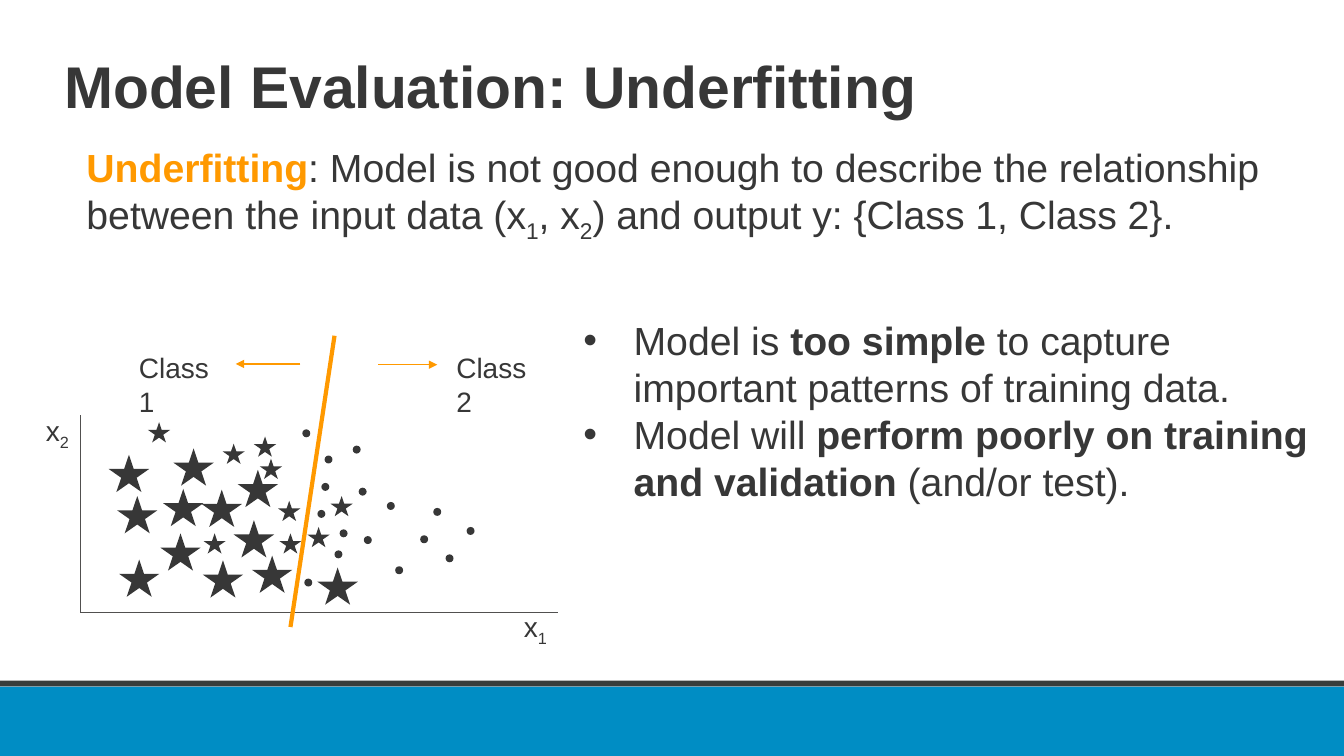
from dataclasses import dataclass

from lxml import etree
from pptx import Presentation
from pptx.dml.color import RGBColor
from pptx.enum.shapes import MSO_CONNECTOR, MSO_SHAPE
from pptx.oxml.ns import qn
from pptx.util import Cm, Pt

RECT, STAR, DOT = MSO_SHAPE.RECTANGLE, MSO_SHAPE.STAR_5_POINT, MSO_SHAPE.FLOWCHART_CONNECTOR
STRAIGHT = MSO_CONNECTOR.STRAIGHT


@dataclass(frozen=True)
class Theme:
    font: str = "Arial"
    text: RGBColor = RGBColor.from_string("373737")
    accent: RGBColor = RGBColor.from_string("FF9900")
    axis: RGBColor = RGBColor.from_string("51504F")
    band: RGBColor = RGBColor.from_string("008DC4")
    band_edge: RGBColor = RGBColor.from_string("383D3B")
    title_size: int = 42
    body_size: int = 28
    label_size: int = 20


theme = Theme()
BOLD = {"bold": True}
SUB = {"baseline": "-25000"}

prs = Presentation()
prs.slide_width, prs.slide_height = Cm(33.87), Cm(19.05)
s = prs.slides.add_slide(prs.slide_layouts[6])


def add_filled(kind, x, y, w, h, color):
    sp = s.shapes.add_shape(kind, Cm(x), Cm(y), Cm(w), Cm(h))
    sp.shadow.inherit = False
    sp.fill.solid()
    sp.fill.fore_color.rgb = color
    sp.line.fill.background()


def add_text(x, y, w, h, size, paragraphs, spacing=None, bullet=False):
    """Each paragraph is a list of (text, format) runs."""
    tf = s.shapes.add_textbox(Cm(x), Cm(y), Cm(w), Cm(h)).text_frame
    tf.word_wrap = True
    for i, runs in enumerate(paragraphs):
        p = tf.add_paragraph() if i else tf.paragraphs[0]
        if bullet:
            pPr = p._p.get_or_add_pPr()
            pPr.set("marL", str(Cm(1.27)))
            pPr.set("indent", str(-Cm(1.27)))
            etree.SubElement(pPr, qn("a:buFont")).set("typeface", theme.font)
            etree.SubElement(pPr, qn("a:buChar")).set("char", "•")
        if spacing:
            p.line_spacing = spacing
        for text, fmt in runs:
            r = p.add_run()
            r.text = text
            r.font.color.rgb = fmt.get("color", theme.text)
            values = {"name": theme.font, "size": Pt(size), "bold": fmt.get("bold", False)}
            for name, value in values.items():
                setattr(r.font, name, value)
            if "baseline" in fmt:
                r.font._element.set("baseline", fmt["baseline"])


# Footer band
add_filled(RECT, -0.05, 17.3, 33.98, 1.75, theme.band)
add_filled(RECT, -0.03, 17.15, 33.93, 0.15, theme.band_edge)

# Title, definition and consequences
add_text(1.37, 1.32, 29.21, 2.77, theme.title_size,
         [[("Model Evaluation: Underfitting", BOLD)]], spacing=0.9)
add_text(1.93, 3.63, 30.23, 12.78, theme.body_size, [[
    ("Underfitting", {"bold": True, "color": theme.accent}),
    (": Model is not good enough to describe the relationship between the input data (x", {}),
    ("1", SUB), (", x", {}), ("2", SUB),
    (") and output y: {Class 1, Class 2}.", {}),
]], spacing=0.9)
add_text(14.45, 7.85, 18.9, 5.05, theme.body_size, [
    [("Model is ", {}), ("too simple ", BOLD),
     ("to capture important patterns of training data.", {})],
    [("Model will ", {}), ("perform poorly on training and validation ", BOLD),
     ("(and/or test).", {})],
], bullet=True)

# Scatter plot: (shape, width, height, top-left corners)
markers = [
    (STAR, 1.02, 0.94, [
        (2.74, 11.46), (2.95, 12.5), (4.04, 13.44), (3, 14.1), (4.11, 12.32), (5.11, 14.12),
        (6.35, 14), (4.37, 11.3), (5.08, 12.34), (5.89, 13.11), (5.99, 11.84), (8, 14.3)]),
    (STAR, 0.56, 0.51, [
        (6.4, 11), (7.01, 12.62), (7.75, 13.28), (6.55, 11.56), (5.13, 13.44),
        (3.73, 10.64), (7.04, 13.44), (5.61, 11.18), (8.33, 12.5)]),
    (DOT, 0.2, 0.2, [
        (9.75, 12.65), (8, 12.85), (8.1, 12.17), (8.56, 13.34), (7.67, 14.58), (7.62, 10.82),
        (8.89, 11.23), (10.92, 12.8), (10.59, 13.49), (9.96, 14.27), (9.17, 13.51),
        (8.43, 13.87), (9.04, 12.29), (11.23, 13.97), (8.18, 11.48), (11.76, 13.28)]),
]
for kind, w, h, corners in markers:
    for x, y in corners:
        add_filled(kind, x, y, w, h, theme.text)

# Axes, decision boundary and class arrows: (from, to, color, width, arrowhead)
lines = [
    ((2.03, 15.44), (2.03, 10.46), theme.axis, 0.5, False),
    ((2.03, 15.42), (14.05, 15.42), theme.axis, 0.5, False),
    ((8.43, 8.46), (7.32, 15.8), theme.accent, 3, False),
    ((9.53, 9.19), (11.02, 9.19), theme.accent, 1, True),
    ((7.57, 9.17), (5.94, 9.17), theme.accent, 1, True),
]
for (x1, y1), (x2, y2), color, width, arrow in lines:
    line = s.shapes.add_connector(STRAIGHT, Cm(x1), Cm(y1), Cm(x2), Cm(y2))
    line.line.color.rgb = color
    line.line.width = Pt(width)
    if arrow:
        etree.SubElement(line.line._get_or_add_ln(), qn("a:tailEnd")).set("type", "triangle")
    etree.SubElement(line._element.spPr, qn("a:effectLst"))

# Class and axis labels
labels = [
    (11.25, 8.71, 2.77, [("Class 2", {})]),
    (3.25, 8.71, 2.77, [("Class 1", {})]),
    (12.95, 15.24, 1.22, [("x", {}), ("1", SUB)]),
    (0.91, 10.29, 1.37, [("x", {}), ("2", SUB)]),
]
for x, y, w, runs in labels:
    add_text(x, y, w, 1.11, theme.label_size, [runs])

prs.save("out.pptx")
